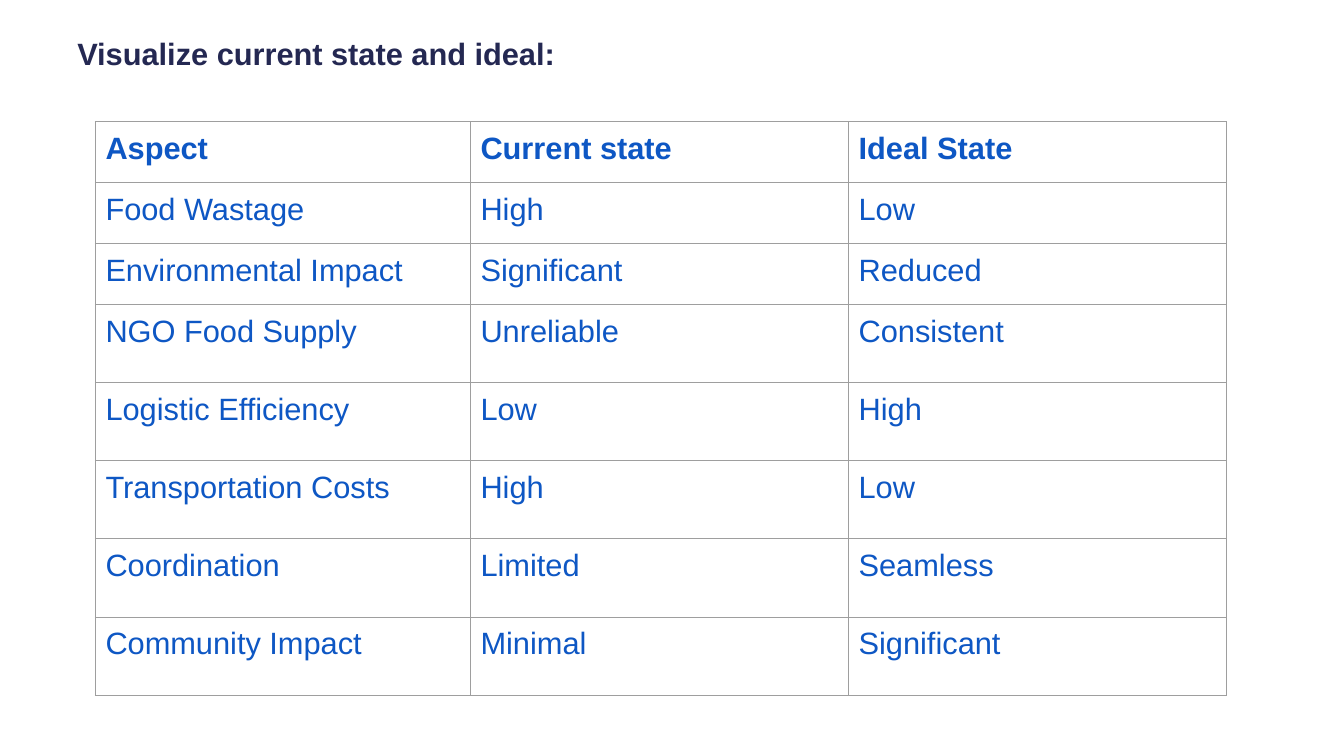
from lxml.etree import SubElement
from pptx import Presentation
from pptx.dml.color import RGBColor
from pptx.enum.text import MSO_ANCHOR, MSO_AUTO_SIZE, PP_ALIGN
from pptx.oxml.ns import qn
from pptx.util import Inches, Pt

COLORS = {"title": "242852", "table": "0E57C4", "border": "9E9E9E"}
FONT = "Arial"
TEXT_SIZE = Pt(22)
SLIDE_WIDTH, SLIDE_HEIGHT = Inches(13.33), Inches(7.5)
COLUMN_WIDTHS = [3.72, 3.75, 3.75]
ROW_HEIGHTS = [0.605] * 3 + [0.775] * 5
ASPECTS = [
    ("Aspect", "Current state", "Ideal State"),
    ("Food Wastage", "High", "Low"),
    ("Environmental Impact", "Significant", "Reduced"),
    ("NGO Food Supply", "Unreliable", "Consistent"),
    ("Logistic Efficiency", "Low", "High"),
    ("Transportation Costs", "High", "Low"),
    ("Coordination", "Limited", "Seamless"),
    ("Community Impact", "Minimal", "Significant"),
]


def style_paragraph(paragraph, color, bold):
    paragraph.alignment = PP_ALIGN.LEFT
    paragraph.font.name = FONT
    paragraph.font.size = TEXT_SIZE
    paragraph.font.bold = bold
    paragraph.font.color.rgb = RGBColor.from_string(COLORS[color])


def add_title(slide, text):
    title = slide.shapes.title
    title.left, title.top = int(SLIDE_WIDTH * 0.05), int(SLIDE_HEIGHT * 0.039)
    title.width, title.height = int(SLIDE_WIDTH * 0.863), int(SLIDE_HEIGHT * 0.096)
    frame = title.text_frame
    frame.text = text
    frame.word_wrap = True
    frame.auto_size = MSO_AUTO_SIZE.NONE
    frame.vertical_anchor = MSO_ANCHOR.TOP
    paragraph = frame.paragraphs[0]
    style_paragraph(paragraph, "title", True)
    paragraph.space_after = Pt(6)


def set_borders(cell):
    properties = cell._tc.get_or_add_tcPr()
    for position, side in enumerate(("lnL", "lnR", "lnT", "lnB")):
        line = SubElement(properties, qn(f"a:{side}"), w=str(Pt(0.75)))
        fill = SubElement(line, qn("a:solidFill"))
        SubElement(fill, qn("a:srgbClr"), val=COLORS["border"])
        properties.insert(position, line)


def fill_cell(cell, text, bold):
    cell.text = text
    cell.fill.background()
    cell.margin_left = cell.margin_right = Inches(0.1)
    cell.margin_top = cell.margin_bottom = Inches(0.1)
    style_paragraph(cell.text_frame.paragraphs[0], "table", bold)
    set_borders(cell)


def add_comparison_table(slide, rows):
    table = slide.shapes.add_table(
        len(rows), len(COLUMN_WIDTHS),
        int(SLIDE_WIDTH * 0.071), int(SLIDE_HEIGHT * 0.161),
        Inches(sum(COLUMN_WIDTHS)), Inches(sum(ROW_HEIGHTS)),
    ).table
    table.horz_banding = False
    for column, width in zip(table.columns, COLUMN_WIDTHS):
        column.width = Inches(width)
    for index, (row, height, texts) in enumerate(zip(table.rows, ROW_HEIGHTS, rows)):
        row.height = Inches(height)
        for cell, text in zip(row.cells, texts):
            fill_cell(cell, text, index == 0)


def main():
    presentation = Presentation()
    presentation.slide_width = SLIDE_WIDTH
    presentation.slide_height = SLIDE_HEIGHT
    slide = presentation.slides.add_slide(presentation.slide_layouts[5])
    add_title(slide, "Visualize current state and ideal:")
    add_comparison_table(slide, ASPECTS)
    presentation.save("out.pptx")


if __name__ == "__main__":
    main()
